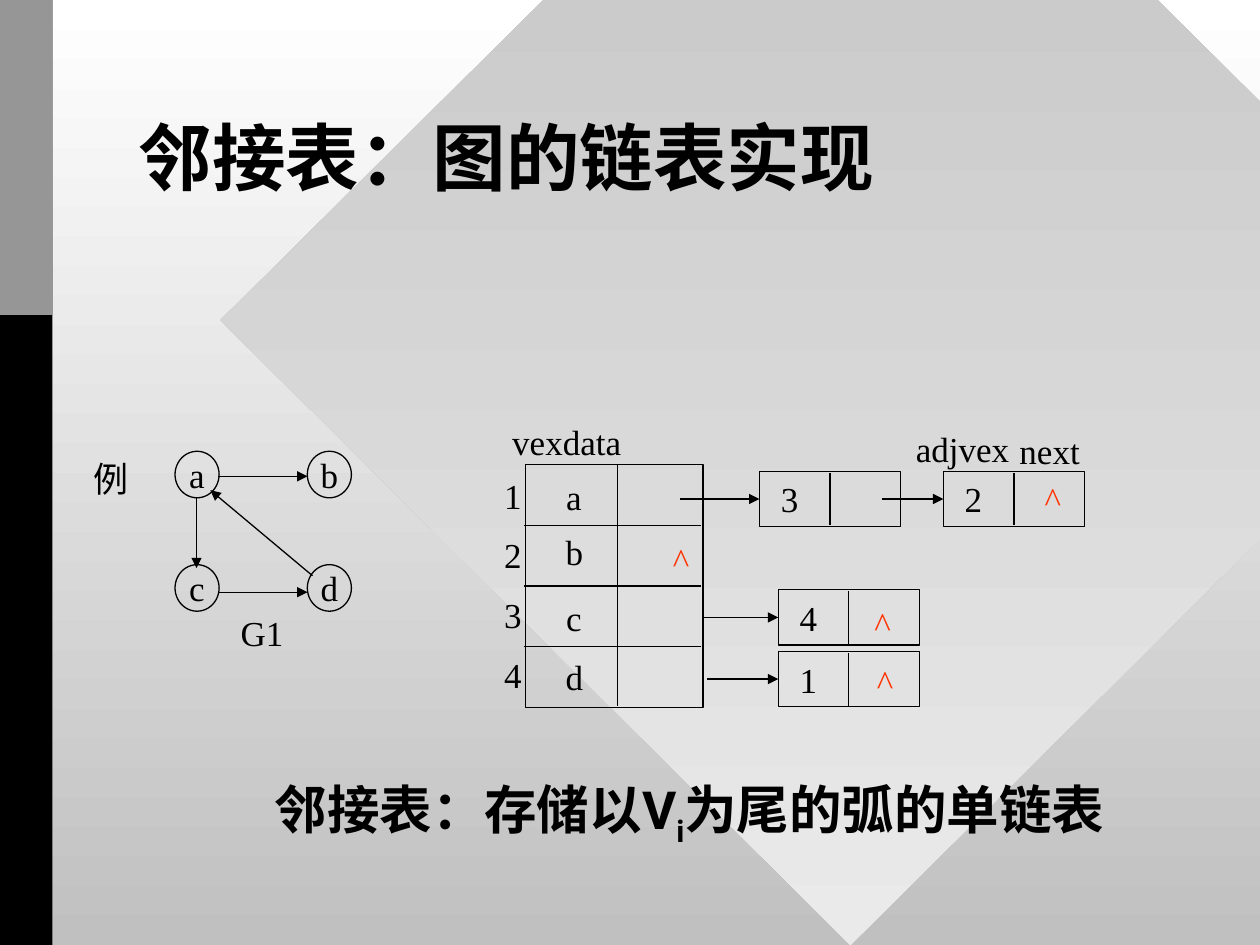
import pptx
import pptx.util
import pptx.dml.color
import pptx.enum.shapes
import pptx.enum.text
import pptx.oxml
import pptx.oxml.ns
from lxml import etree

Pt = pptx.util.Pt
KIND = pptx.enum.shapes.MSO_SHAPE
ALIGN = pptx.enum.text.PP_ALIGN
ANCHOR = pptx.enum.text.MSO_ANCHOR
FIT = pptx.enum.text.MSO_AUTO_SIZE.SHAPE_TO_FIT_TEXT
INK, RED = "010000", "FF3300"
SERIF, SANS = "Times New Roman", "Roboto"

TITLE = "邻接表：图的链表实现"
NOTE = [("邻接表：存储以V", 0), ("i", -25000), ("为尾的弧的单链表", 0)]

# Graph G1: vertex centres and arcs as end points
NODES = {"a": (112.6, 271.2), "b": (188.2, 271.2),
         "c": (112.6, 336), "d": (188.2, 336)}
NODE_W, NODE_H = 25.2, 26.6
ARCS = [(124.6, 272.2, 175.7, 272.2), (124.6, 338.4, 175.7, 338.4),
        (112.3, 284.4, 112.3, 324.7), (178.6, 329, 120.2, 280.1)]

# Vertex table: row number, vertex, top of the vertex text
ROWS = [("1", "a", 267.8), ("2", "b", 299.5), ("3", "c", 337), ("4", "d", 370.8)]
LEFT, TOP, WIDE, PITCH, SPLIT = 300.4, 265.6, 101.4, 34.65, 352.8

# List cells: vertex number, left, top, start of the arrow into it
CELLS = [("3", 434, 269.3, 388.8), ("4", 444.7, 337, 401.3),
         ("1", 444.7, 372.2, 404.2), ("2", 539.1, 269.3, 504)]
CELL_W, TEXT_H = 80.6, 31.7

# Text, left, top, width, colour
LABELS = [("例", 46.1, 257.8, 34.6, INK), ("G1", 130.3, 345.6, 38.9, INK),
          ("vexdata", 283.9, 236.2, 80, INK),
          ("adjvex", 515, 240.5, 70, INK), ("next", 574.3, 241.6, 51, INK),
          ("^", 589.7, 269.3, 23.8, RED), ("^", 492.5, 340.6, 23.8, RED),
          ("^", 377.3, 303.8, 23.8, RED), ("^", 493.9, 373.7, 23.8, RED)]


def rgb(code):
    return pptx.dml.color.RGBColor.from_string(code)


def shade(fill, first, last):
    """Fill with a gradient that runs from top to bottom."""
    fill.gradient()
    fill.gradient_angle = 270
    for stop, code in zip(fill.gradient_stops, (first, last)):
        stop.color.rgb = rgb(code)


def style(para, size, face, color=INK, bold=False):
    font = para.font
    font.size, font.name, font.bold = Pt(size), face, bold
    font.color.rgb = rgb(color)


def add_shape(kind, x, y, w, h, fill=None, line=None):
    shape = slide.shapes.add_shape(kind, Pt(x), Pt(y), Pt(w), Pt(h))
    shape.shadow.inherit = False
    if fill:
        shape.fill.solid()
        shape.fill.fore_color.rgb = rgb(fill)
    else:
        shape.fill.background()
    if line:
        shape.line.color.rgb = rgb(line)
        shape.line.width = Pt(0.75)
    else:
        shape.line.fill.background()
    return shape


def write(shape, text, align=ALIGN.CENTER, color=INK, wrap=False):
    frame = shape.text_frame
    frame.word_wrap = wrap
    frame.vertical_anchor = ANCHOR.MIDDLE
    para = frame.paragraphs[0]
    para.text = text
    para.alignment = align
    style(para, 20, SERIF, color)


def add_label(text, x, y, w, color=INK):
    box = slide.shapes.add_textbox(Pt(x), Pt(y), Pt(w), Pt(TEXT_H))
    write(box, text, color=color)
    box.text_frame.auto_size = FIT


def add_line(x1, y1, x2, y2, arrow=False):
    line = slide.shapes.add_connector(
        pptx.enum.shapes.MSO_CONNECTOR.STRAIGHT, Pt(x1), Pt(y1), Pt(x2), Pt(y2))
    line.line.color.rgb = rgb(INK)
    line.line.width = Pt(0.75)
    qn = pptx.oxml.ns.qn
    props = line.element.spPr
    if arrow:
        etree.SubElement(props.find(qn("a:ln")), qn("a:tailEnd"), type="triangle")
    etree.SubElement(props, qn("a:effectLst"))
    return line


deck = pptx.Presentation()
deck.slide_width, deck.slide_height = Pt(720), Pt(540)
slide = deck.slides.add_slide(deck.slide_layouts[5])

# Backdrop
shade(slide.background.fill, "FFFFFF", "C0C0C0")
gem = add_shape(KIND.DIAMOND, 126, -174, 720, 714)
shade(gem.fill, "C0C0C0", "EAEAEA")
add_shape(KIND.RECTANGLE, 0, 0, 30, 540, fill="000000")
add_shape(KIND.RECTANGLE, 0, 0, 30, 180, fill="969696")

# Title, brought in front of the backdrop
title = slide.shapes.title
title.element.getparent().append(title.element)
title.left, title.top, title.width, title.height = Pt(72), Pt(48), Pt(576), Pt(90)
title.text = TITLE
title.text_frame.vertical_anchor = ANCHOR.MIDDLE
head = title.text_frame.paragraphs[0]
head.alignment = ALIGN.LEFT
head.line_spacing = 0.85
style(head, 42, SANS, bold=True)

# Graph
for name, (x, y) in NODES.items():
    node = add_shape(KIND.OVAL, x - NODE_W / 2, y - NODE_H / 2, NODE_W, NODE_H, line=INK)
    write(node, name)
for arc in ARCS:
    add_line(*arc, arrow=True)

# Vertex table
add_shape(KIND.RECTANGLE, LEFT, TOP, WIDE, PITCH * len(ROWS), line=INK)
add_line(SPLIT, TOP, SPLIT, TOP + PITCH * len(ROWS) - 1)
for i, (number, name, y) in enumerate(ROWS):
    add_label(number, 280.8, 267.1 + 34.1 * i, 24.5)
    add_label(name, 316.1, y, 23.8)
    if i:
        add_line(LEFT - 1, TOP + PITCH * i, LEFT + WIDE - 1, TOP + PITCH * i)

# Linked cells
for number, x, y, start in CELLS:
    cell = add_shape(KIND.RECTANGLE, x, y, CELL_W, TEXT_H, line=INK)
    write(cell, number, ALIGN.LEFT, wrap=True)
    cell.text_frame.margin_left = Pt(12.2)
    mid = x + CELL_W / 2
    add_line(mid, y + 0.7, mid, y + TEXT_H - 0.7)
    link = add_line(start, y + TEXT_H / 2, x, y + TEXT_H / 2, arrow=True)
    link.end_connect(cell, 1)

for label in LABELS:
    add_label(*label)

# Closing note
box = slide.shapes.add_textbox(Pt(149.8), Pt(440.6), Pt(503.3), Pt(48.2))
para = box.text_frame.paragraphs[0]
para.space_before = Pt(7.5)
style(para, 30, SANS, bold=True)
for text, shift in NOTE:
    run = para.add_run()
    run.text = text
    if shift:
        run._r.get_or_add_rPr().set("baseline", str(shift))

deck.save("out.pptx")
